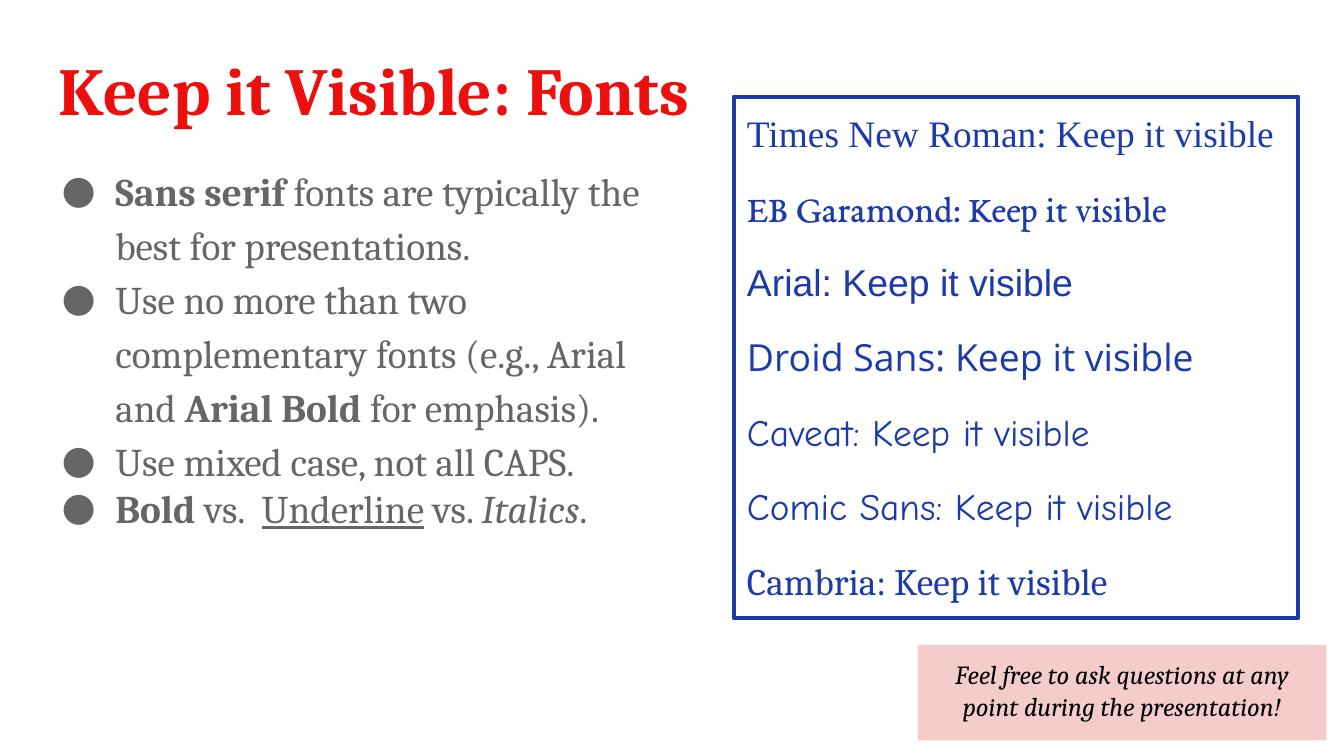
from lxml.etree import SubElement
from pptx import Presentation
from pptx.dml.color import RGBColor
from pptx.enum.shapes import MSO_SHAPE
from pptx.enum.text import MSO_ANCHOR, PP_ALIGN
from pptx.oxml.ns import qn
from pptx.util import Inches, Pt

# Content
RED, GRAY, BLUE, PINK, BLACK = "ED0E0E", "666666", "1C3AA9", "F4CCCC", "000000"
SERIF = "Cambria"
TITLE = "Keep it Visible: Fonts"
NOTE = "Feel free to ask questions at any point during the presentation!"

# Each bullet: line spacing and its (text, style) runs
BULLETS = [
    (1.15, [("Sans serif", "bold"),
            (" fonts are typically the best for presentations.", "")]),
    (1.15, [("Use no more than two complementary fonts (e.g., Arial and ", ""),
            ("Arial Bold ", "bold"), ("for emphasis).", "")]),
    (1.15, [("Use mixed case, not all CAPS.", "")]),
    (1.0, [("Bold", "bold"), (" vs.  ", ""), ("Underline", "underline"),
           (" vs. ", ""), ("Italics", "italic"), (".", "")]),
]

# Each sample: label and the font it is set in
SAMPLES = [
    ("Times New Roman", "Times New Roman"),
    ("EB Garamond", "EB Garamond"),
    ("Arial", "Arial"),
    ("Droid Sans", "Open Sans"),
    ("Caveat", "Comic Neue"),
    ("Comic Sans", "Comic Neue"),
    ("Cambria", SERIF),
]


def rgb(color):
    return RGBColor.from_string(color)


def setup_frame(sp):
    tf = sp.text_frame
    tf.word_wrap = True
    tf.vertical_anchor = MSO_ANCHOR.TOP
    tf.margin_left = tf.margin_right = Inches(0.1)
    tf.margin_top = tf.margin_bottom = Inches(0.1)
    return tf


def add_text(s, *box):
    return setup_frame(s.shapes.add_textbox(*map(Inches, box)))


def add_box(s, *box, fill=None, line=None):
    sp = s.shapes.add_shape(MSO_SHAPE.RECTANGLE, *map(Inches, box))
    sp.shadow.inherit = False
    if fill:
        sp.fill.solid()
        sp.fill.fore_color.rgb = rgb(fill)
    else:
        sp.fill.background()
    if line:
        sp.line.color.rgb = rgb(line)
        sp.line.width = Pt(2.25)
    else:
        sp.line.fill.background()
    return setup_frame(sp)


def next_paragraph(tf, i):
    return tf.add_paragraph() if i else tf.paragraphs[0]


def add_run(p, text, size, color, font=SERIF, style=""):
    r = p.add_run()
    r.text = text
    r.font.size = Pt(size)
    r.font.name = font
    r.font.color.rgb = rgb(color)
    if style:
        setattr(r.font, style, True)


def add_bullet(p, color):
    pPr = p._p.get_or_add_pPr()
    pPr.set("marL", str(Inches(0.5)))
    pPr.set("indent", str(Inches(-0.4)))
    SubElement(SubElement(pPr, qn("a:buClr")), qn("a:srgbClr"), val=color)
    SubElement(pPr, qn("a:buFont"), typeface=SERIF)
    SubElement(pPr, qn("a:buChar"), char="●")


# Widescreen slide, 16:9
prs = Presentation()
prs.slide_width = Inches(10)
prs.slide_height = prs.slide_width * 9 // 16
s = prs.slides.add_slide(prs.slide_layouts[6])

# Title
tf = add_text(s, 0.34, 0.26, 9.32, 0.63)
add_run(tf.paragraphs[0], TITLE, 36, RED, style="bold")

# Advice
tf = add_text(s, 0.26, 1.09, 4.85, 3.88)
for i, (spacing, runs) in enumerate(BULLETS):
    p = next_paragraph(tf, i)
    add_bullet(p, GRAY)
    p.line_spacing = spacing
    for text, style in runs:
        add_run(p, text, 21, GRAY, style=style)

# Font samples
tf = add_box(s, 5.46, 0.72, 4.2, 3.88, line=BLUE)
for i, (label, font) in enumerate(SAMPLES):
    p = next_paragraph(tf, i)
    p.alignment = PP_ALIGN.LEFT
    if i:
        p.space_before = Pt(16)
    add_run(p, f"{label}: Keep it visible", 20, BLUE, font)

# Note to the audience
tf = add_box(s, 6.83, 4.8, 3.04, 0.71, fill=PINK)
p = tf.paragraphs[0]
p.alignment = PP_ALIGN.CENTER
add_run(p, NOTE, 14, BLACK, style="italic")

prs.save("out.pptx")
